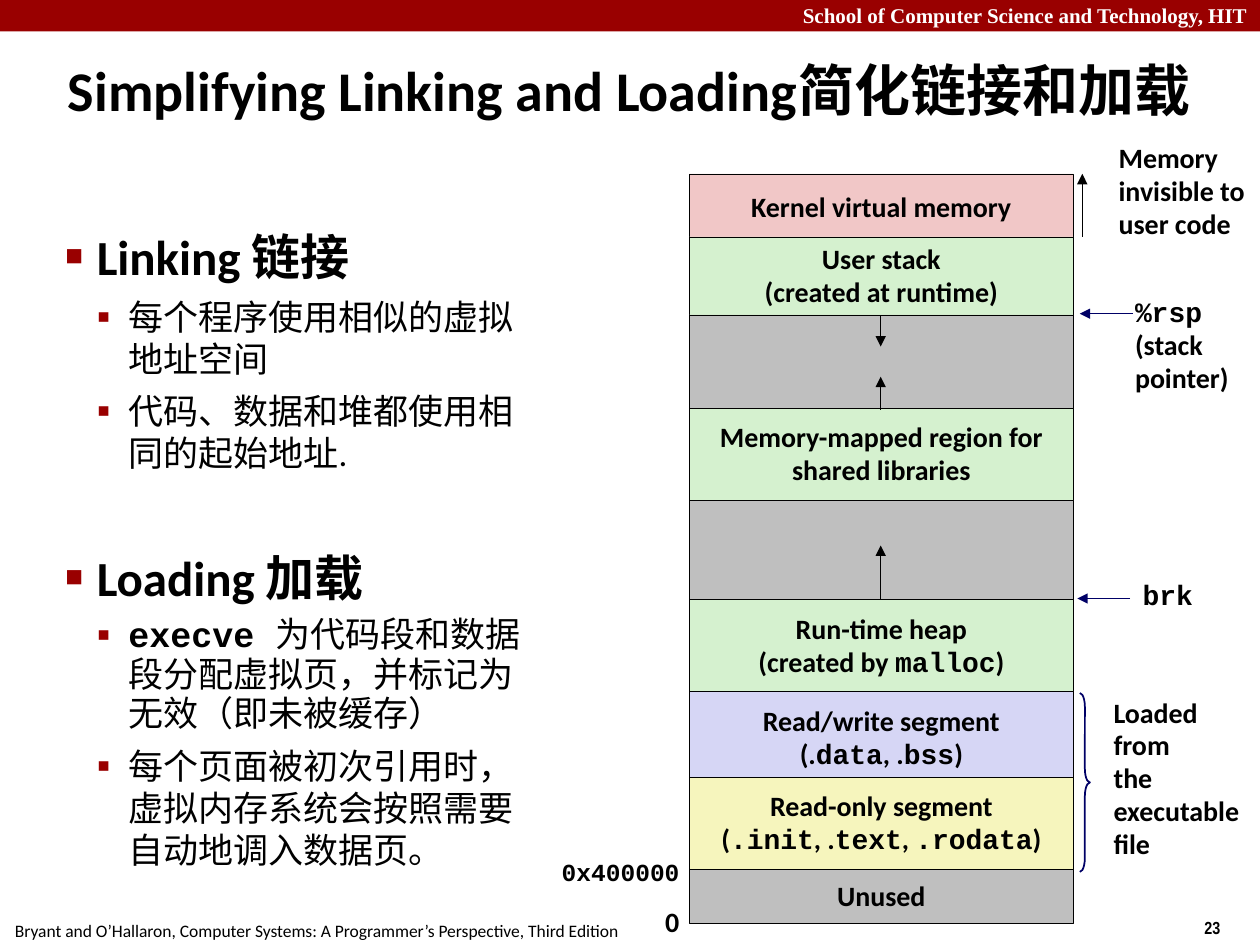
from lxml.etree import SubElement
from pptx import Presentation
from pptx.dml.color import RGBColor
from pptx.enum.shapes import MSO_CONNECTOR, MSO_SHAPE
from pptx.enum.text import MSO_ANCHOR, PP_ALIGN
from pptx.oxml.ns import qn
from pptx.util import Inches, Pt

BLACK = RGBColor(0, 0, 0)
WHITE = RGBColor(255, 255, 255)
RED = RGBColor(0x99, 0, 0)
NAVY = RGBColor(0, 0, 0x66)
PINK = RGBColor(0xF1, 0xC7, 0xC7)
GREEN = RGBColor(0xD5, 0xF1, 0xCF)
GRAY = RGBColor(0xBF, 0xBF, 0xBF)
LILAC = RGBColor(0xD6, 0xD6, 0xF5)
CREAM = RGBColor(0xF6, 0xF5, 0xBD)

STACK_X, STACK_W = 5.47, 3.05
MID = 6.99

# top, height, fill, lines
BLOCKS = [
    (1.38, 0.53, PINK, ["Kernel virtual memory"]),
    (1.88, 0.62, GREEN, ["User stack", "(created at runtime)"]),
    (2.5, 0.74, GRAY, []),
    (3.24, 0.73, GREEN, ["Memory-mapped region for", "shared libraries"]),
    (3.97, 0.79, GRAY, []),
    (4.76, 0.73, GREEN, ["Run-time heap", "(created by `malloc`)"]),
    (5.49, 0.73, LILAC, ["Read/write segment", "(.`data`, .`bss`)"]),
    (6.17, 0.73, CREAM, ["Read-only segment",
                         "(`.init`, .`text`, `.rodata`)"]),
    (6.9, 0.43, GRAY, ["Unused"]),
]

# left, top, width, height, lines, size
LABELS = [
    (5.18, 7.14, 0.31, 0.36, ["0"], 16),
    (4.36, 6.77, 1.25, 0.32, ["`0x400000`"], 14),
    (8.78, 1.08, 1.2, 0.89, ["Memory", "invisible to", "user code"], 16),
    (8.91, 2.31, 0.95, 0.88, ["`%rsp`", "(stack", "pointer)"], 16),
    (8.97, 4.56, 0.6, 0.35, ["`brk`"], 16),
    (8.74, 5.48, 1.26, 1.41,
     ["Loaded", "from", "the", "executable", "file"], 16),
]

# start x, start y, end x, end y, colour
ARROWS = [
    (MID, 4.75, MID, 4.33, BLACK),
    (MID, 3.25, MID, 2.99, BLACK),
    (MID, 2.5, MID, 2.75, BLACK),
    (8.59, 1.88, 8.59, 1.38, BLACK),
    (8.99, 2.49, 8.57, 2.49, NAVY),
    (8.97, 4.75, 8.55, 4.75, NAVY),
]

# text, is heading, space before, line spacing
POINTS = [
    ("Linking 链接", True, 0, 1),
    ("每个程序使用相似的虚拟地址空间", False, 5.6, 1),
    ("代码、数据和堆都使用相同的起始地址.", False, 5.6, 1),
    ("Loading 加载", True, 42.5, 1),
    ("`execve `为代码段和数据段分配虚拟页，并标记为无效（即未被缓存）",
     False, 5.6, 0.94),
    ("每个页面被初次引用时，虚拟内存系统会按照需要自动地调入数据页。",
     False, 5.6, 1),
]


def write(para, text, size=16, font="Calibri", bold=True, color=BLACK,
          align=PP_ALIGN.LEFT, space=1, before=0):
    """Fill a paragraph; text between backticks is bold code."""
    para.alignment = align
    para.line_spacing = space
    para.space_before = Pt(before)
    for i, part in enumerate(text.split("`")):
        if not part:
            continue
        code = i % 2 == 1
        run = para.add_run()
        run.text = part
        run.font.size = Pt(size)
        run.font.name = "Courier New" if code else font
        run.font.bold = bold or code
        run.font.color.rgb = color


def fill_lines(frame, lines, **form):
    for i, line in enumerate(lines):
        para = frame.add_paragraph() if i else frame.paragraphs[0]
        space = 0.94 if line.startswith("`") else 0.98
        write(para, line, **{"space": space, **form})


def add_mark(para, char, percent, indent):
    """Give the paragraph a hanging red bullet."""
    props = para._p.get_or_add_pPr()
    props.set("marL", str(Inches(indent)))
    props.set("indent", str(-Inches(0.25)))
    tint = SubElement(props, qn("a:buClr"))
    SubElement(tint, qn("a:srgbClr"), val=str(RED))
    SubElement(props, qn("a:buSzPct"), val=str(percent * 1000))
    SubElement(props, qn("a:buFont"), typeface="Times New Roman")
    SubElement(props, qn("a:buChar"), char=char)


class Board:
    def __init__(self, slide, thin=0.25):
        self.shapes = slide.shapes
        self.thin = thin

    def text(self, x, y, w, h, lines, wrap=False, anchor=MSO_ANCHOR.TOP,
             **form):
        box = self.shapes.add_textbox(
            Inches(x), Inches(y), Inches(w), Inches(h))
        frame = box.text_frame
        frame.word_wrap = wrap
        frame.vertical_anchor = anchor
        fill_lines(frame, lines, **form)
        return frame

    def block(self, x, y, w, h, fill, lines=(), edge=True):
        box = self.shapes.add_shape(
            MSO_SHAPE.RECTANGLE, Inches(x), Inches(y), Inches(w), Inches(h))
        box.shadow.inherit = False
        box.fill.solid()
        box.fill.fore_color.rgb = fill
        if edge:
            box.line.color.rgb = BLACK
            box.line.width = Pt(self.thin)
        else:
            box.line.fill.background()
        box.text_frame.word_wrap = False
        box.text_frame.vertical_anchor = MSO_ANCHOR.MIDDLE
        fill_lines(box.text_frame, lines, align=PP_ALIGN.CENTER, space=0.98)

    def arrow(self, x1, y1, x2, y2, color):
        line = self.shapes.add_connector(
            MSO_CONNECTOR.STRAIGHT,
            Inches(x1), Inches(y1), Inches(x2), Inches(y2))
        line.line.color.rgb = color
        line.line.width = Pt(self.thin)
        SubElement(line.line._get_or_add_ln(), qn("a:tailEnd"),
                   type="triangle")
        SubElement(line._element.spPr, qn("a:effectLst"))

    def brace(self, x, y, w, h):
        mark = self.shapes.add_shape(
            MSO_SHAPE.RIGHT_BRACE, Inches(x), Inches(y), Inches(w), Inches(h))
        mark.adjustments[0] = 1.37
        mark.shadow.inherit = False
        mark.fill.background()
        mark.line.color.rgb = NAVY
        mark.line.width = Pt(1)

    def points(self, x, y, w, h, items):
        frame = self.text(x, y, w, h, [], wrap=True)
        for i, (text, head, before, space) in enumerate(items):
            para = frame.add_paragraph() if i else frame.paragraphs[0]
            add_mark(para, *(("■", 60, 0.25) if head else ("▪", 110, 0.5)))
            write(para, text, size=28 if head else 20, bold=head,
                  before=before, space=space)


def main():
    deck = Presentation()
    deck.slide_width, deck.slide_height = Inches(10), Inches(7.5)
    board = Board(deck.slides.add_slide(deck.slide_layouts[6]))

    board.block(0, 0, 10, 0.25, RED, edge=False)
    board.text(9.46, 7.23, 0.75, 0.27, ["23"], size=10, font="Arial Narrow",
               space=1)
    board.text(0.02, 7.25, 5.01, 0.27,
               ["Bryant and O’Hallaron, Computer Systems: "
                "A Programmer’s Perspective, Third Edition"],
               size=10, bold=False, space=1)
    board.text(0, -0.03, 10, 0.3,
               ["School of Computer Science and Technology, HIT"],
               wrap=True, size=12, font="Times New Roman", color=WHITE,
               align=PP_ALIGN.RIGHT, space=1)
    board.text(0.44, 0.28, 9.42, 0.86,
               ["Simplifying Linking and Loading简化链接和加载"],
               wrap=True, anchor=MSO_ANCHOR.MIDDLE, size=32, space=1)
    board.points(0.42, 1.75, 3.94, 5.23, POINTS)

    for top, height, fill, lines in BLOCKS:
        board.block(STACK_X, top, STACK_W, height, fill, lines)
    for arrow in ARROWS:
        board.arrow(*arrow)
    board.brace(8.57, 5.5, 0.08, 1.42)
    for *place, lines, size in LABELS:
        board.text(*place, lines, size=size)
    deck.save("out.pptx")


if __name__ == "__main__":
    main()
